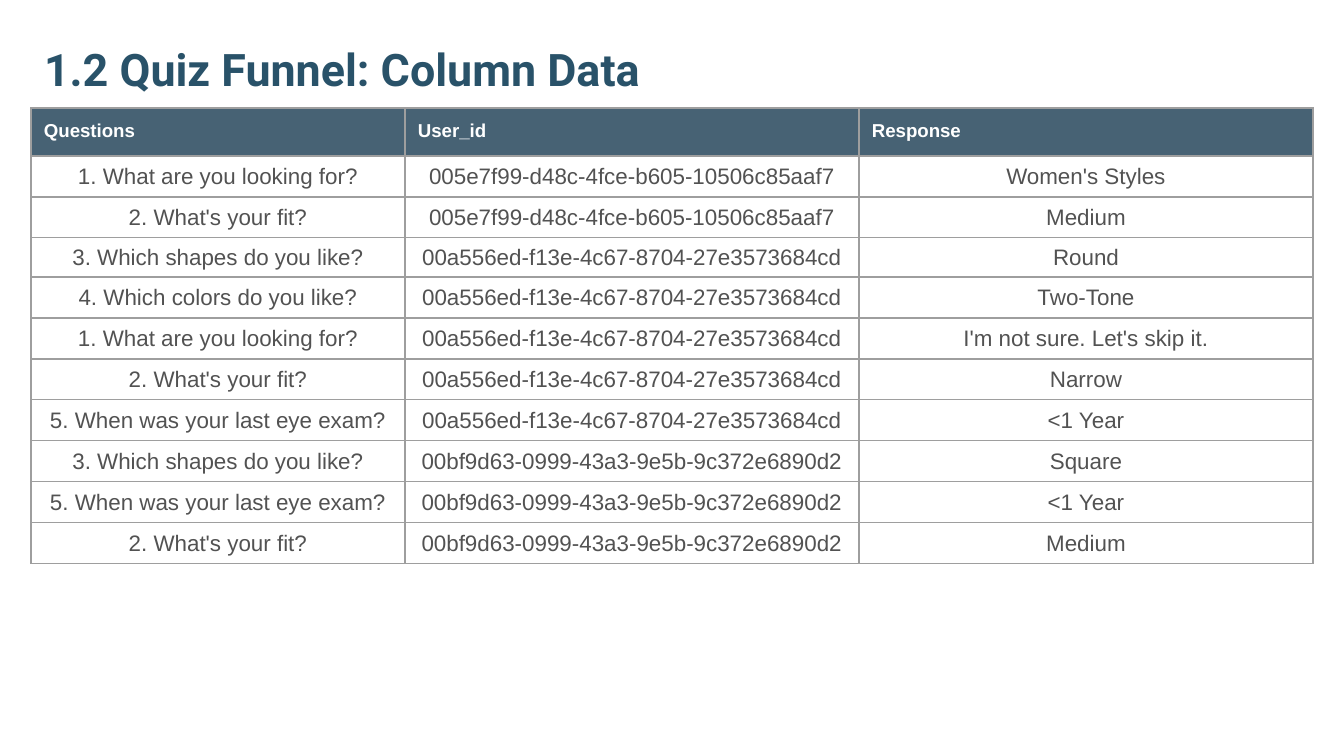
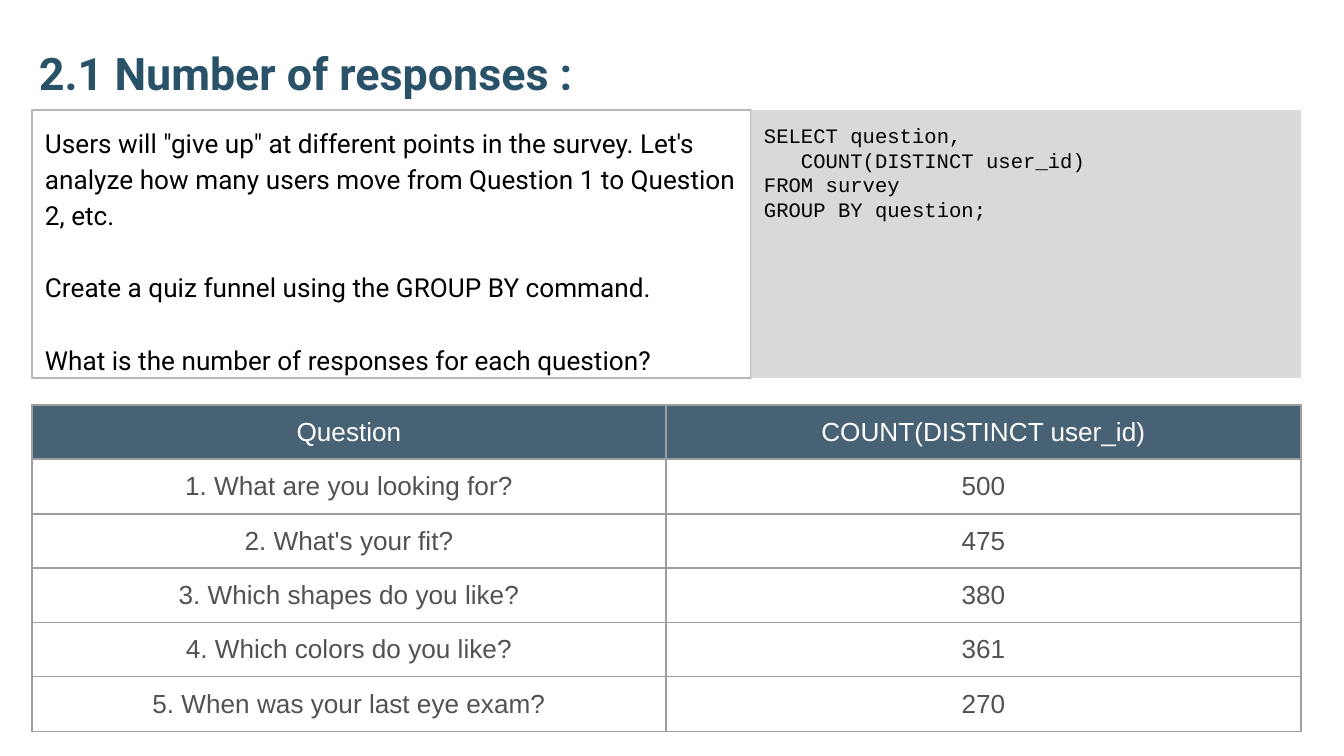
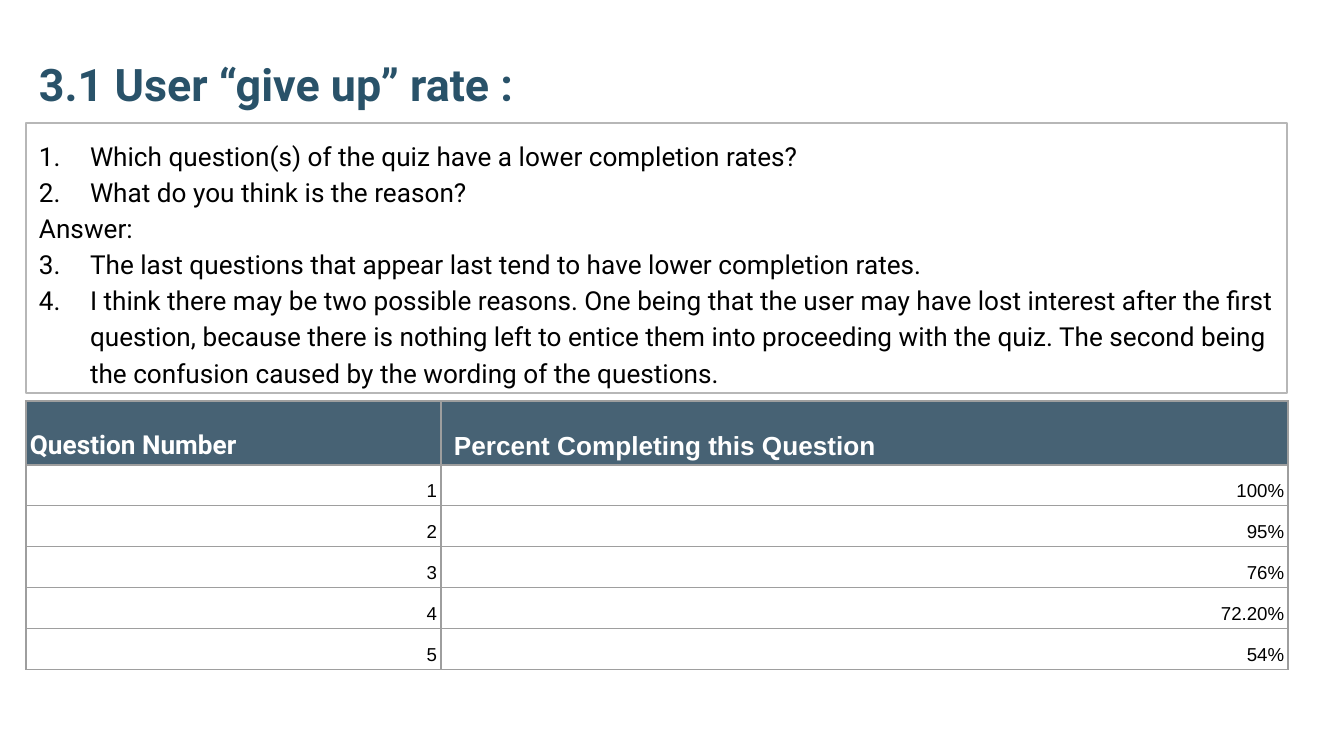
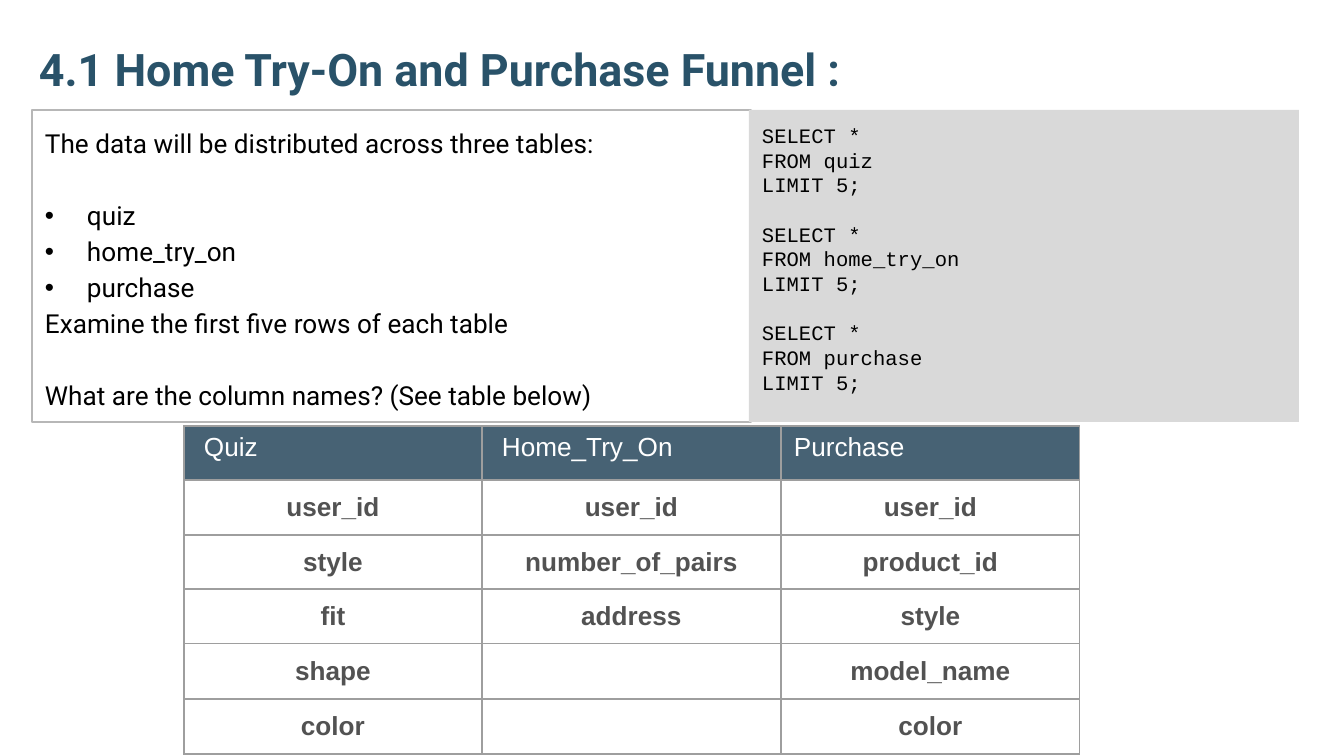
from dataclasses import dataclass

from lxml import etree
from pptx import Presentation
from pptx.dml.color import RGBColor
from pptx.enum.shapes import MSO_SHAPE
from pptx.enum.text import MSO_ANCHOR, MSO_AUTO_SIZE, PP_ALIGN
from pptx.oxml.ns import qn
from pptx.util import Emu, Pt

EMU_PER_PX = 914400 / 134.4
TITLE_ONLY = 5
INSET = 13
BLANK_LINE = 19.3
CODE_BLANK_LINE = 13.2

COLORS = {
    "title": "295269",
    "header": "476274",
    "grid": "9E9E9E",
    "outline": "B7B7B7",
    "code": "D9D9D9",
    "body": "525252",
    "white": "FFFFFF",
    "black": "000000",
}

QUESTIONS = [
    "1. What are you looking for?",
    "2. What's your fit?",
    "3. Which shapes do you like?",
    "4. Which colors do you like?",
    "5. When was your last eye exam?",
]
USERS = [
    "005e7f99-d48c-4fce-b605-10506c85aaf7",
    "00a556ed-f13e-4c67-8704-27e3573684cd",
    "00bf9d63-0999-43a3-9e5b-9c372e6890d2",
]
# Question number, user number, response
ANSWERS = [
    (1, 1, "Women's Styles"),
    (2, 1, "Medium"),
    (3, 2, "Round"),
    (4, 2, "Two-Tone"),
    (1, 2, "I'm not sure. Let's skip it."),
    (2, 2, "Narrow"),
    (5, 2, "<1 Year"),
    (3, 3, "Square"),
    (5, 3, "<1 Year"),
    (2, 3, "Medium"),
]
QUESTION_ROWS = [54, 55] * 3


@dataclass
class Line:
    text: str
    before: float = 0
    indent: int = 0
    bullet: str = ""
    number: int = 0


def px(length):
    return Emu(round(length * EMU_PER_PX))


def rgb(name):
    return RGBColor.from_string(COLORS[name])


def set_insets(target, left, top, right, bottom):
    target.margin_left, target.margin_top = px(left), px(top)
    target.margin_right, target.margin_bottom = px(right), px(bottom)


def set_indent(paragraph, line):
    """Indent a paragraph; a bullet or number hangs in the indent."""
    properties = paragraph._p.get_or_add_pPr()
    properties.set("marL", str(px(line.indent)))
    if line.bullet or line.number:
        properties.set("indent", str(-px(line.indent)))
    if line.bullet:
        etree.SubElement(properties, qn("a:buFont"), typeface="Arial")
        etree.SubElement(properties, qn("a:buChar"), char=line.bullet)
    elif line.number:
        etree.SubElement(properties, qn("a:buAutoNum"), type="arabicPeriod",
                         startAt=str(line.number))


def write_text(frame, lines, size=14, font="Arial", color="black", bold=False,
               align=PP_ALIGN.LEFT, spacing=None):
    for index, line in enumerate(lines):
        if isinstance(line, str):
            line = Line(line)
        paragraph = frame.paragraphs[0] if index == 0 else frame.add_paragraph()
        paragraph.alignment = align
        if spacing:
            paragraph.line_spacing = spacing
        if line.before:
            paragraph.space_before = Pt(line.before)
        if line.indent:
            set_indent(paragraph, line)
        if line.text:
            run = paragraph.add_run()
            run.text = line.text
            run.font.size = Pt(size)
            run.font.name = font
            run.font.bold = bold
            run.font.color.rgb = rgb(color)


def add_titled_slide(deck, text, left, top, height=124):
    slide = deck.slides.add_slide(deck.slide_layouts[TITLE_ONLY])
    title = slide.shapes.title
    title.left, title.top = px(left), px(top)
    title.width, title.height = px(1271), px(height)
    frame = title.text_frame
    frame.auto_size = MSO_AUTO_SIZE.NONE
    frame.word_wrap = True
    frame.vertical_anchor = MSO_ANCHOR.BOTTOM
    set_insets(frame, *[INSET] * 4)
    write_text(frame, [text], size=24, font="Roboto", color="title", bold=True)
    return slide


def add_panel(slide, left, top, width, height, lines, fill=None, outline=None,
              **text_format):
    panel = slide.shapes.add_shape(MSO_SHAPE.RECTANGLE, px(left), px(top),
                                   px(width), px(height))
    panel.shadow.inherit = False
    if fill:
        panel.fill.solid()
        panel.fill.fore_color.rgb = rgb(fill)
    else:
        panel.fill.background()
    if outline:
        panel.line.color.rgb = rgb(outline)
        panel.line.width = Pt(0.75)
    else:
        panel.line.fill.background()
    frame = panel.text_frame
    frame.word_wrap = True
    frame.vertical_anchor = MSO_ANCHOR.TOP
    set_insets(frame, *[INSET] * 4)
    write_text(frame, lines, **text_format)


def add_brief(slide, left, top, width, height, lines):
    add_panel(slide, left, top, width, height, lines, outline="outline",
              font="Roboto", spacing=1.15)


def add_code(slide, left, top, width, height, lines):
    add_panel(slide, left, top, width, height, lines, fill="code",
              font="Courier New", size=11)


def draw_borders(cell):
    properties = cell._tc.get_or_add_tcPr()
    for side in ("a:lnL", "a:lnR", "a:lnT", "a:lnB"):
        border = etree.SubElement(properties, qn(side), w=str(Pt(0.75)))
        fill = etree.SubElement(border, qn("a:solidFill"))
        etree.SubElement(fill, qn("a:srgbClr"), val=COLORS["grid"])


def fill_cell(cell, line, fill=None, anchor=MSO_ANCHOR.MIDDLE,
              insets=(INSET, 7, INSET, 7), **text_format):
    draw_borders(cell)
    if fill:
        cell.fill.solid()
        cell.fill.fore_color.rgb = rgb(fill)
    else:
        cell.fill.background()
    cell.vertical_anchor = anchor
    set_insets(cell, *insets)
    write_text(cell.text_frame, [line], **text_format)


def add_grid(slide, left, top, widths, heights, rows, header_styles, body_style):
    """Add a table whose first row takes one style per column."""
    table = slide.shapes.add_table(
        len(rows), len(widths), px(left), px(top),
        px(sum(widths)), px(sum(heights))).table
    table.first_row = table.horz_banding = False
    for column, width in zip(table.columns, widths):
        column.width = px(width)
    for row, height in zip(table.rows, heights):
        row.height = px(height)
    for row_index, row in enumerate(rows):
        for column_index, line in enumerate(row):
            if row_index == 0:
                style = {"fill": "header", "color": "white",
                         **header_styles[column_index]}
            else:
                style = body_style
            fill_cell(table.cell(row_index, column_index), line, **style)


def build_column_data(deck):
    slide = add_titled_slide(deck, "1.2 Quiz Funnel: Column Data", 31, -15)
    header = dict(size=10, bold=True, anchor=MSO_ANCHOR.TOP, insets=[INSET] * 4)
    rows = [("Questions", "User_id", "Response")]
    rows += [(QUESTIONS[question - 1], USERS[user - 1], response)
             for question, user, response in ANSWERS]
    add_grid(slide, 31, 108, [374, 454, 454], [48, 41, 41, 39] + [41] * 7, rows,
             [header] * 3, dict(size=12, color="body", align=PP_ALIGN.CENTER))


def build_responses(deck):
    slide = add_titled_slide(deck, "2.1 Number of responses :", 26, 42, 70)
    add_brief(slide, 32, 110, 719, 268, [
        "Users will \"give up\" at different points in the survey. Let's analyze "
        "how many users move from Question 1 to Question 2, etc.",
        Line("Create a quiz funnel using the GROUP BY command.", before=BLANK_LINE),
        Line("What is the number of responses for each question?", before=BLANK_LINE),
    ])
    add_code(slide, 751, 110, 550, 268, [
        "SELECT question,",
        Line("COUNT(DISTINCT user_id)", indent=37),
        "FROM survey",
        "GROUP BY question;",
    ])
    counts = ["500", "475", "380", "361", "270"]
    add_grid(slide, 32, 405, [634, 635], QUESTION_ROWS,
             [("Question", "COUNT(DISTINCT user_id)"), *zip(QUESTIONS, counts)],
             [dict(align=PP_ALIGN.CENTER)] * 2,
             dict(color="body", align=PP_ALIGN.CENTER))


def build_give_up_rate(deck):
    slide = add_titled_slide(deck, "3.1 User “give up” rate :", 26, 0)
    numbered = [
        "Which question(s) of the quiz have a lower completion rates?",
        "What do you think is the reason?",
        "The last questions that appear last tend to have lower completion rates.",
        "I think there may be two possible reasons. One being that the user may "
        "have lost interest after the first question, because there is nothing "
        "left to entice them into proceeding with the quiz. The second being the "
        "confusion caused by the wording of the questions.",
    ]
    # Each half starts its own numbering: 1 for the questions, 3 for the answers
    lines = [Line(text, indent=51, number=1 if index < 2 else 3)
             for index, text in enumerate(numbered)]
    lines.insert(2, "Answer:")
    add_brief(slide, 26, 123, 1261, 270, lines)

    rates = ["100%", "95%", "76%", "72.20%", "54%"]
    rows = [("Question Number", "Percent Completing this Question")]
    rows += [(str(number), rate) for number, rate in enumerate(rates, 1)]
    header = dict(bold=True, anchor=MSO_ANCHOR.BOTTOM)
    add_grid(slide, 26, 401, [415, 847], [64] + [41] * 5, rows,
             [dict(header, font="Roboto", insets=[4] * 4),
              dict(header, insets=(INSET, 4, INSET, 4))],
             dict(size=10, align=PP_ALIGN.RIGHT, anchor=MSO_ANCHOR.BOTTOM,
                  insets=[4] * 4))


def build_purchase_funnel(deck):
    slide = add_titled_slide(deck, "4.1 Home Try-On and Purchase Funnel :", 26, -15)
    names = ["quiz", "home_try_on", "purchase"]
    bullets = [Line(name, indent=42, bullet="•",
                    before=0 if index else BLANK_LINE)
               for index, name in enumerate(names)]
    add_brief(slide, 32, 110, 719, 312, [
        "The data will be distributed across three tables:",
        *bullets,
        "Examine the first five rows of each table",
        Line("What are the column names? (See table below)", before=BLANK_LINE),
    ])
    queries = []
    for name in names:
        queries += [Line("SELECT *", before=CODE_BLANK_LINE if queries else 0),
                    f"FROM {name}", "LIMIT 5;"]
    add_code(slide, 749, 110, 550, 312, queries)

    rows = [
        (Line("Quiz", indent=7), Line("Home_Try_On", indent=7), "Purchase"),
        ("user_id", "user_id", "user_id"),
        ("style", "number_of_pairs", "product_id"),
        ("fit", "address", "style"),
        ("shape", "", "model_name"),
        ("color", "", "color"),
    ]
    add_grid(slide, 184, 426, [298, 299, 299], QUESTION_ROWS, rows,
             [dict(anchor=MSO_ANCHOR.TOP)] * 3,
             dict(color="body", bold=True, align=PP_ALIGN.CENTER))


def main():
    deck = Presentation()
    deck.slide_width, deck.slide_height = px(1344), px(756)
    build_column_data(deck)
    build_responses(deck)
    build_give_up_rate(deck)
    build_purchase_funnel(deck)
    deck.save("out.pptx")


if __name__ == "__main__":
    main()
